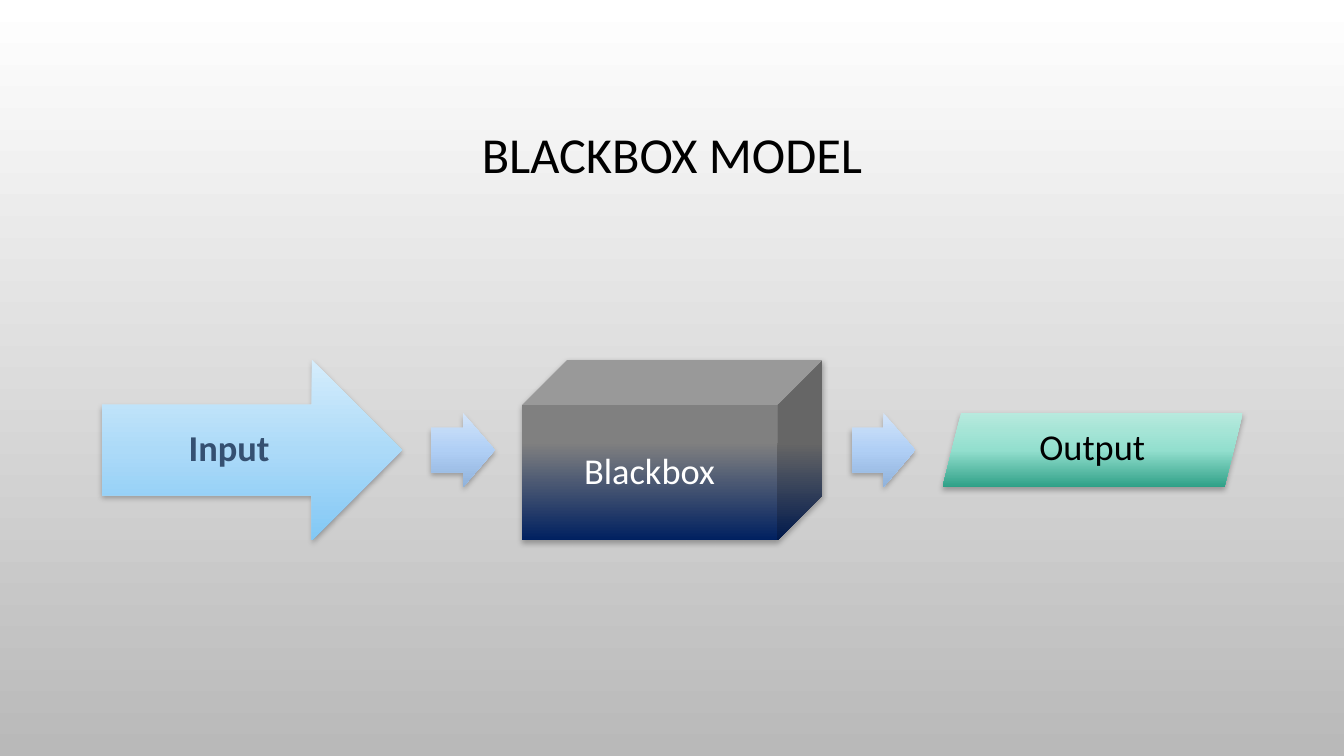
"""Build the blackbox model slide: input, box and output joined by arrows."""
from lxml.etree import SubElement as Sub
from pptx import Presentation
from pptx.dml.color import RGBColor
from pptx.enum.shapes import MSO_SHAPE as Shape
from pptx.enum.text import MSO_ANCHOR as Anchor, PP_ALIGN as Align
from pptx.oxml.ns import qn
from pptx.util import Pt


def rgb(color):
    return RGBColor.from_string(color)


def add_run(p, text, size=26, color="000000", bold=False, font="Calibri"):
    r = p.add_run()
    r.text = text
    r.font.name, r.font.size, r.font.bold = font, Pt(size), bold
    r.font.color.rgb = rgb(color)


class SlideBuilder:
    def __init__(self, prs):
        self.s = prs.slides.add_slide(prs.slide_layouts[6])

    def gradient(self, fill, element, stops):
        fill.gradient()
        fill.gradient_angle = 270
        gs_list = element.find(".//" + qn("a:gsLst"))
        gs_list.clear()
        for pos, color in stops:
            gs = Sub(gs_list, qn("a:gs"), pos=str(pos * 1000))
            Sub(gs, qn("a:srgbClr"), val=color)

    def background(self, stops):
        self.gradient(self.s.background.fill, self.s.element, stops)

    def shadow(self, sp):
        sp.shadow.inherit = False
        effects = sp.element.spPr.find(qn("a:effectLst"))
        outer = Sub(effects, qn("a:outerShdw"), blurRad=str(Pt(4)),
                    dist=str(Pt(2)), dir="5400000", rotWithShape="0")
        color = Sub(outer, qn("a:srgbClr"), val="000000")
        Sub(color, qn("a:alpha"), val="28000")

    def shape(self, kind, x, y, w, h, stops, adjust=()):
        sp = self.s.shapes.add_shape(kind, Pt(x), Pt(y), Pt(w), Pt(h))
        for i, value in enumerate(adjust):
            sp.adjustments[i] = value
        self.gradient(sp.fill, sp.element, stops)
        sp.line.fill.background()
        self.shadow(sp)

    def text(self, text, x, y, w, h, inset=8, **fmt):
        tf = self.s.shapes.add_textbox(Pt(x), Pt(y), Pt(w), Pt(h)).text_frame
        tf.word_wrap = True
        tf.vertical_anchor = Anchor.MIDDLE
        tf.margin_left = tf.margin_right = Pt(inset)
        tf.margin_top = tf.margin_bottom = Pt(inset)
        p = tf.paragraphs[0]
        p.alignment = Align.CENTER
        p.line_spacing = 0.9
        add_run(p, text, **fmt)


def main():
    prs = Presentation()
    prs.slide_width, prs.slide_height = Pt(960), Pt(540)
    b = SlideBuilder(prs)
    b.background([(0, "FFFFFF"), (100, "B9B9B9")])
    b.text("BLACKBOX MODEL", 72, 49, 816, 126, inset=4, size=36)

    pitch, stage_w, stage_h = 300.25, 214.5, 129
    input_x, box_x, output_x = (72.75 + pitch * i for i in range(3))
    top = 257

    b.shape(Shape.RIGHT_ARROW, input_x, top, stage_w, stage_h,
            [(0, "D5EDFC"), (50, "ACDAF8"), (100, "82C8F5")])
    b.text("Input", input_x, 289, 182, 64, color="355071", bold=True)

    b.shape(Shape.CUBE, box_x, top, stage_w, stage_h,
            [(0, "808080"), (46, "808080"), (100, "002060")])
    b.text("Blackbox", box_x, 289, 182, 97, color="FFFFFF")

    b.shape(Shape.PARALLELOGRAM, output_x, 295, stage_w, 53,
            [(0, "B7EADE"), (50, "93DFCE"), (100, "2FA087")])
    b.text("Output", output_x + 23, 300, 168, 41)

    for i in range(2):
        b.shape(Shape.RIGHT_ARROW, 308 + pitch * i, 295, 45.5, 53,
                [(0, "D2E4F9"), (50, "B0CFF5"), (100, "90B2DB")],
                adjust=(0.6, 0.5))

    prs.save("out.pptx")


if __name__ == "__main__":
    main()
